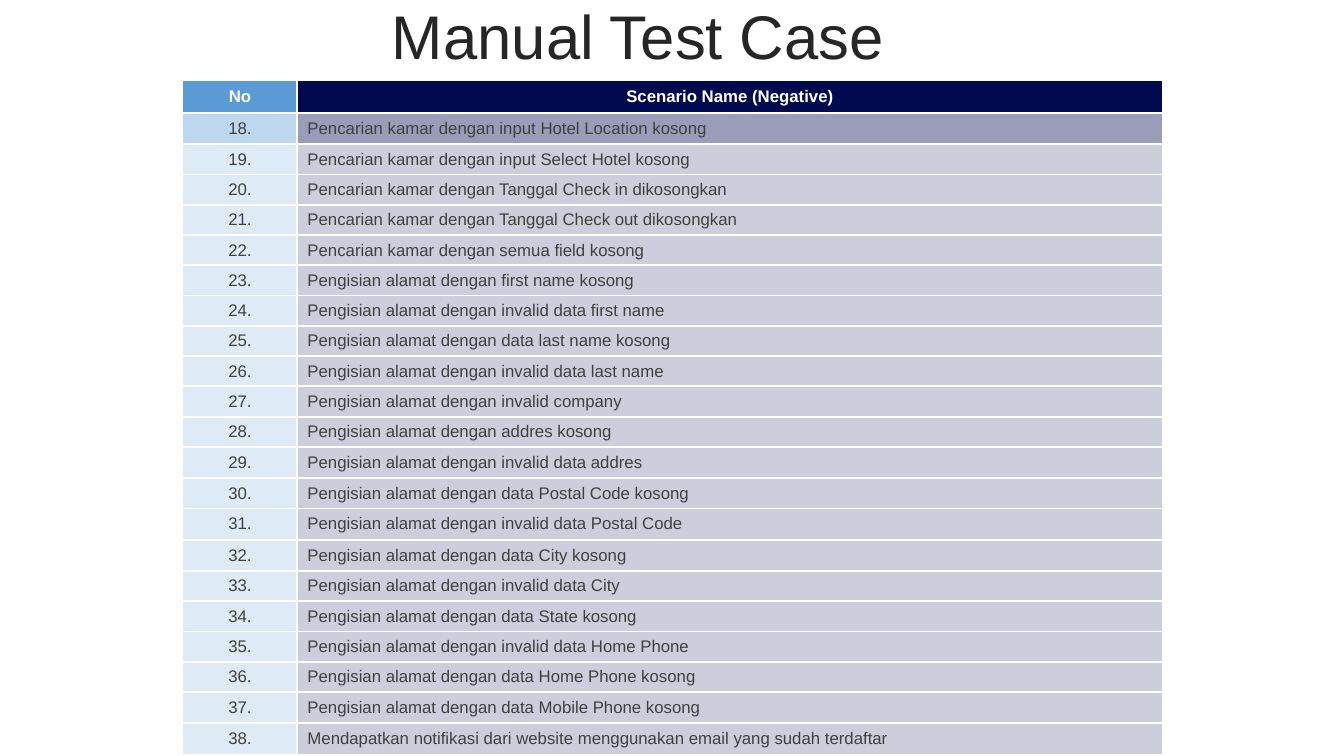
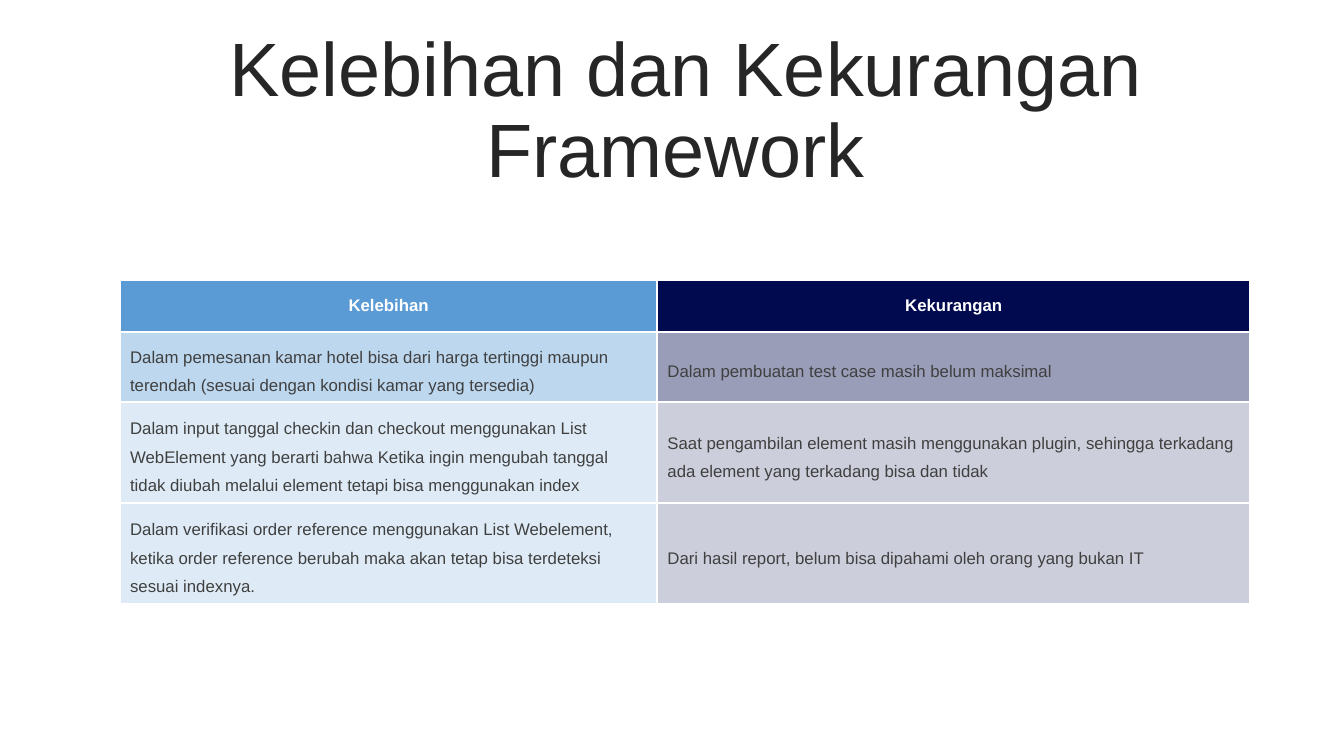
import dataclasses

import lxml.etree
import pptx
import pptx.dml.color
import pptx.enum.text
import pptx.oxml.ns
import pptx.util

Inches = pptx.util.Inches
Pt = pptx.util.Pt
RGB = pptx.dml.color.RGBColor.from_string
PP_ALIGN = pptx.enum.text.PP_ALIGN
MIDDLE = pptx.enum.text.MSO_ANCHOR.MIDDLE
qn = pptx.oxml.ns.qn


@dataclasses.dataclass(frozen=True)
class Theme:
    font: str = "Arial"
    title: str = "262626"
    body: str = "404040"
    white: str = "FFFFFF"
    columns: tuple = ("5A9BD5", "010A4F")
    first_row_alpha: int = 40
    row_alpha: int = 20
    cell_size: int = 12
    border: float = 1.5


theme = Theme()


def add_title(slide, text, left, top, size):
    sp = slide.shapes.add_textbox(Inches(left), Inches(top), Inches(12.66), Inches(0.79))
    tf = sp.text_frame
    tf.word_wrap = True
    tf.vertical_anchor = MIDDLE
    tf.text = text
    p = tf.paragraphs[0]
    p.alignment = PP_ALIGN.CENTER
    p.line_spacing = 0.9
    p.space_before = Pt(10)
    font = p.runs[0].font
    font.name = theme.font
    font.size = Pt(size)
    font.color.rgb = RGB(theme.title)


def add_grid(slide, rows, left, top, widths, heights, aligns, spacing):
    frame = slide.shapes.add_table(
        len(rows), len(widths), Inches(left), Inches(top),
        Inches(sum(widths)), Inches(sum(heights)),
    )
    table = frame.table
    table.horz_banding = False
    for column, width in zip(table.columns, widths):
        column.width = Inches(width)
    for i, (row, height) in enumerate(zip(rows, heights)):
        table.rows[i].height = Inches(height)
        header = i == 0
        for j, text in enumerate(row):
            cell = table.cell(i, j)
            cell.vertical_anchor = MIDDLE
            cell.text_frame.text = text
            p = cell.text_frame.paragraphs[0]
            p.alignment = PP_ALIGN.CENTER if header else aligns[j]
            p.line_spacing = 1.0 if header else spacing
            font = p.runs[0].font
            font.name = theme.font
            font.size = Pt(theme.cell_size)
            font.bold = header
            font.color.rgb = RGB(theme.white if header else theme.body)

            cell.fill.solid()
            cell.fill.fore_color.rgb = RGB(theme.columns[j])
            tcPr = cell._tc.get_or_add_tcPr()
            if not header:
                alpha = theme.first_row_alpha if i == 1 else theme.row_alpha
                color = tcPr.find(qn("a:solidFill")).find(qn("a:srgbClr"))
                lxml.etree.SubElement(color, qn("a:alpha"), val=str(alpha * 1000))
            for k, side in enumerate(("lnL", "lnR", "lnT", "lnB")):
                ln = lxml.etree.Element(qn(f"a:{side}"), w=str(Pt(theme.border)))
                fill = lxml.etree.SubElement(ln, qn("a:solidFill"))
                lxml.etree.SubElement(fill, qn("a:srgbClr"), val=theme.white)
                tcPr.insert(k, ln)


prs = pptx.Presentation()
prs.slide_width = Inches(13.33)
prs.slide_height = Inches(7.5)
blank = prs.slide_layouts[6]

scenarios = [
    "Pencarian kamar dengan input Hotel Location kosong",
    "Pencarian kamar dengan input Select Hotel kosong",
    "Pencarian kamar dengan Tanggal Check in dikosongkan",
    "Pencarian kamar dengan Tanggal Check out dikosongkan",
    "Pencarian kamar dengan semua field kosong",
    "Pengisian alamat dengan first name kosong",
    "Pengisian alamat dengan invalid data first name",
    "Pengisian alamat dengan data last name kosong",
    "Pengisian alamat dengan invalid data last name",
    "Pengisian alamat dengan invalid company",
    "Pengisian alamat dengan addres kosong",
    "Pengisian alamat dengan invalid data addres",
    "Pengisian alamat dengan data Postal Code kosong",
    "Pengisian alamat dengan invalid data Postal Code",
    "Pengisian alamat dengan data City kosong",
    "Pengisian alamat dengan invalid data City",
    "Pengisian alamat dengan data State kosong",
    "Pengisian alamat dengan invalid data Home Phone",
    "Pengisian alamat dengan data Home Phone kosong",
    "Pengisian alamat dengan data Mobile Phone kosong",
    "Mendapatkan notifikasi dari website menggunakan email yang sudah terdaftar",
]
first_number = 18
tall_numbers = {18, 29, 31, 32, 37, 38}
rows = [("No", "Scenario Name (Negative)")]
heights = [0.33]
for number, scenario in enumerate(scenarios, first_number):
    rows.append((f"{number}.", scenario))
    heights.append(0.31 if number in tall_numbers else 0.29)

s = prs.slides.add_slide(blank)
add_title(s, "Manual Test Case", 0, 0, 44)
add_grid(s, rows, 1.81, 0.79, (1.14, 8.58), heights,
         (PP_ALIGN.CENTER, PP_ALIGN.LEFT), 1.0)

comparison = [
    ("Kelebihan", "Kekurangan"),
    (
        "Dalam pemesanan kamar hotel bisa dari harga tertinggi maupun terendah "
        "(sesuai dengan kondisi kamar yang tersedia)",
        "Dalam pembuatan test case masih belum maksimal",
    ),
    (
        "Dalam input tanggal checkin dan checkout menggunakan List WebElement yang "
        "berarti bahwa Ketika ingin mengubah tanggal tidak diubah melalui element "
        "tetapi bisa menggunakan index",
        "Saat pengambilan element masih menggunakan plugin, sehingga terkadang ada "
        "element yang terkadang bisa dan tidak",
    ),
    (
        "Dalam verifikasi order reference menggunakan List Webelement, ketika order "
        "reference berubah maka akan tetap bisa terdeteksi sesuai indexnya.",
        "Dari hasil report, belum bisa dipahami oleh orang yang bukan IT",
    ),
]
s = prs.slides.add_slide(blank)
add_title(s, "Kelebihan dan Kekurangan Framework ", 0.47, 0.72, 54)
add_grid(s, comparison, 1.19, 2.78, (5.33, 5.88), (0.51, 0.67, 0.94, 0.94),
         (PP_ALIGN.LEFT, PP_ALIGN.LEFT), 1.5)

prs.save("out.pptx")
